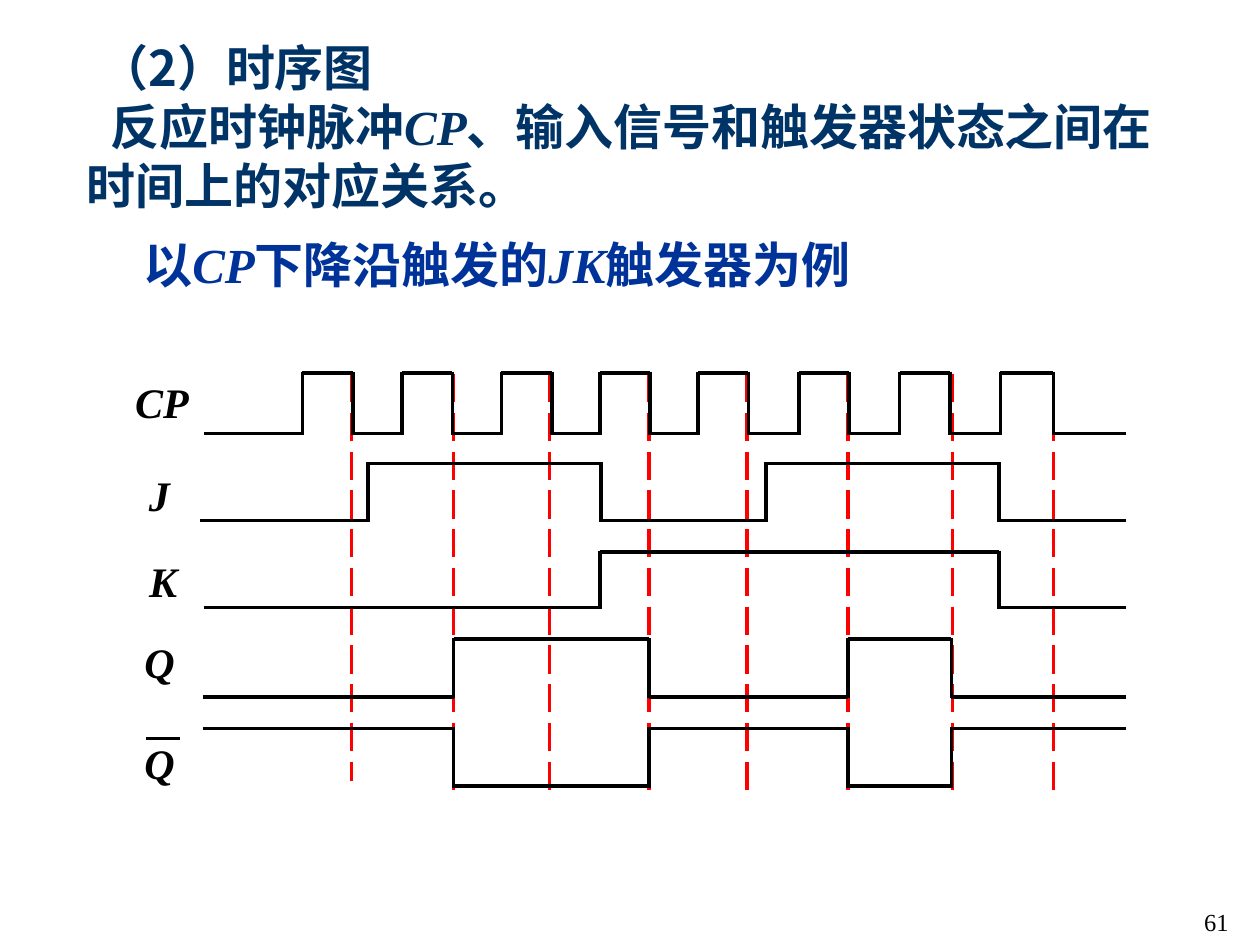
from dataclasses import dataclass
from lxml import etree
from pptx import Presentation
from pptx.dml.color import RGBColor
from pptx.enum.dml import MSO_LINE
from pptx.enum.shapes import MSO_CONNECTOR
from pptx.enum.text import PP_ALIGN
from pptx.oxml.ns import qn
from pptx.util import Inches, Pt

STRAIGHT = MSO_CONNECTOR.STRAIGHT
LONG_DASH = MSO_LINE.LONG_DASH
LEFT, CENTER, RIGHT = PP_ALIGN.LEFT, PP_ALIGN.CENTER, PP_ALIGN.RIGHT


@dataclass(frozen=True)
class Theme:
    heading: RGBColor = RGBColor(0x00, 0x33, 0x66)
    example: RGBColor = RGBColor(0x00, 0x33, 0x99)
    ink: RGBColor = RGBColor(0x00, 0x00, 0x00)
    marker: RGBColor = RGBColor(0xFF, 0x00, 0x00)
    latin: str = "Times New Roman"
    chinese: str = "Noto Sans CJK SC"
    heading_size: int = 28
    heading_pitch: float = 33.6
    label_size: int = 24
    number_size: int = 14
    line_width: int = 2


theme = Theme()


def add_text(shapes, box, paragraphs, size, color, bold=True, align=LEFT, inset=(0.1, 0.05), pitch=None):
    shape = shapes.add_textbox(*map(Inches, box))
    frame = shape.text_frame
    frame.word_wrap = True
    frame.margin_left = frame.margin_right = Inches(inset[0])
    frame.margin_top = frame.margin_bottom = Inches(inset[1])
    for index, (indent, pieces) in enumerate(paragraphs):
        paragraph = frame.paragraphs[0] if index == 0 else frame.add_paragraph()
        paragraph.alignment = align
        if pitch:
            paragraph.line_spacing = Pt(pitch)
        if indent:
            paragraph._p.get_or_add_pPr().set("indent", str(Inches(indent)))
        for piece in pieces:
            run = paragraph.add_run()
            run.text = piece
            run.font.size = Pt(size)
            run.font.bold = bold
            run.font.italic = piece.isascii() and piece.isalpha()
            run.font.color.rgb = color
            run.font.name = theme.latin if piece.isascii() else theme.chinese
            if not piece.isascii():
                etree.SubElement(run._r.rPr, qn("a:ea"), typeface=theme.chinese)


def add_line(shapes, x1, y1, x2, y2, color=theme.ink, dash=None):
    line = shapes.add_connector(STRAIGHT, *map(Inches, (x1, y1, x2, y2)))
    line.line.color.rgb = color
    line.line.width = Pt(theme.line_width)
    if dash:
        line.line.dash_style = dash
    etree.SubElement(line._element.spPr, qn("a:effectLst"))


presentation = Presentation()
presentation.slide_width = Inches(10)
presentation.slide_height = Inches(7.5)
slide = presentation.slides.add_slide(presentation.slide_layouts[6])

add_text(slide.shapes, (1.04, 1.81, 6.21, 0.57),
         [(0, ["以", "CP", "下降沿触发的", "JK", "触发器为例"])],
         theme.heading_size, theme.example, pitch=theme.heading_pitch)
add_text(slide.shapes, (0.59, 0.25, 9, 1.5),
         [(0.1, ["（2）时序图"]),
          (0.19, ["反应时钟脉冲", "CP", "、输入信号和触发器状态之间在时间上的对应关系。"])],
         theme.heading_size, theme.heading, pitch=theme.heading_pitch)

markers = slide.shapes.add_group_shape().shapes
for x in (2.79, 3.6, 4.36, 5.15, 5.93, 6.73, 7.56, 8.36):
    bottom = 6.2 if x == 2.79 else 6.31
    add_line(markers, x, 2.97, x, bottom, theme.marker, LONG_DASH)

clock_rises = (2.4, 3.19, 3.98, 4.76, 5.54, 6.34, 7.14, 7.94)
clock_edges = [x for rise in clock_rises for x in (rise, rise + 0.4)]
clock_edges[-1] = 8.36
output_edges = (3.6, 5.15, 6.73, 7.55)
wave_end = 8.94
overlap = 0.01

signals = [
    ("Q", 0.97, 5.05, 1.61, 5.53, 5.07, output_edges),
    ("CP", 0.99, 2.99, 1.62, 3.44, 2.96, clock_edges),
    ("J", 0.97, 3.73, 1.59, 4.13, 3.68, (2.92, 4.77, 6.08, 7.93)),
    ("K", 1.0, 4.41, 1.62, 4.82, 4.38, (4.76, 7.93)),
    ("Q", 0.97, 5.85, 1.61, 5.78, 6.24, output_edges),
]
for name, label_left, label_top, wave_start, rest, active, edges in signals:
    group = slide.shapes.add_group_shape().shapes
    top, bottom = min(rest, active) - overlap, max(rest, active) + overlap
    stops = [wave_start, *edges, wave_end]
    for index, (left, right) in enumerate(zip(stops, stops[1:])):
        level = active if index % 2 else rest
        add_line(group, left, level, right, level)
    for x in edges:
        add_line(group, x, top, x, bottom)
    add_text(group, (label_left, label_top, 0.59, 0.4), [(0, [name])],
             theme.label_size, theme.ink, align=CENTER, inset=(0, 0))
    if active > rest:
        add_line(group, 1.16, 5.86, 1.43, 5.86)

add_text(slide.shapes, (7.77, 7.15, 2.08, 0.35), [(0, ["61"])],
         theme.number_size, theme.ink, bold=False, align=RIGHT)

presentation.save("out.pptx")
